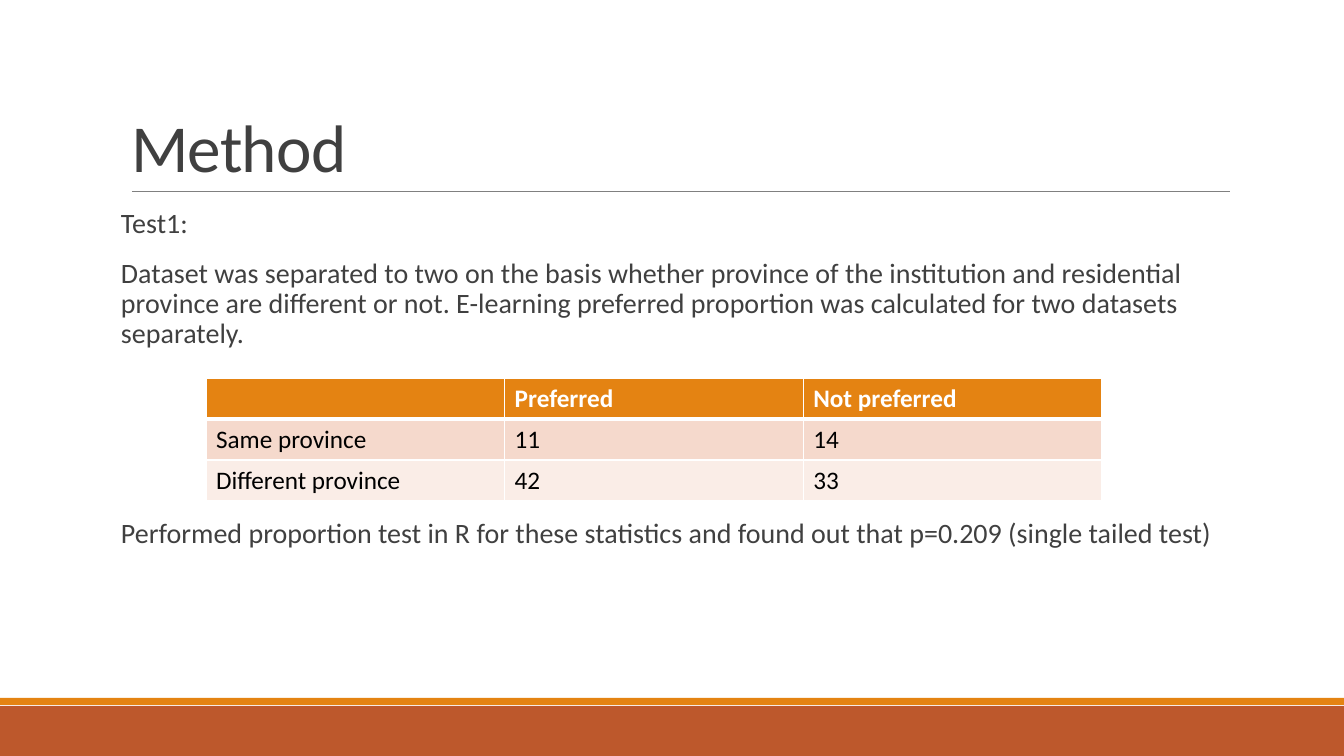
from lxml import etree
from pptx import Presentation
from pptx.dml.color import RGBColor
from pptx.enum.shapes import MSO_CONNECTOR, MSO_SHAPE
from pptx.enum.text import MSO_ANCHOR, MSO_AUTO_SIZE, PP_ALIGN
from pptx.oxml.ns import qn
from pptx.util import Pt

PX = 914400 / 100.8
RECTANGLE = MSO_SHAPE.RECTANGLE
STRAIGHT = MSO_CONNECTOR.STRAIGHT
LEFT = PP_ALIGN.LEFT
TOP, BOTTOM = MSO_ANCHOR.TOP, MSO_ANCHOR.BOTTOM
NO_AUTOFIT = MSO_AUTO_SIZE.NONE


def px(*lengths):
    return [round(length * PX) for length in lengths]


def paint(color_format, color):
    color_format.rgb = RGBColor.from_string(color)


presentation = Presentation()
presentation.slide_width, presentation.slide_height = px(1344, 756)
slide = presentation.slides.add_slide(presentation.slide_layouts[1])

for top, height, color in [(706, 50, "BD582C"), (698, 7, "E48312")]:
    bar = slide.shapes.add_shape(RECTANGLE, *px(0, top, 1344, height))
    bar.shadow.inherit = False
    bar.fill.solid()
    paint(bar.fill.fore_color, color)
    bar.line.fill.background()

title_rule = slide.shapes.add_connector(STRAIGHT, *px(132, 191, 1230, 191))
title_rule.line.width = Pt(0.5)
paint(title_rule.line.color, "808080")
etree.SubElement(title_rule._element.spPr, qn("a:effectLst"))

title = slide.shapes.title
body = slide.placeholders[1]
for placeholder, top, height, anchor in [(title, 31, 160, BOTTOM), (body, 204, 444, TOP)]:
    placeholder.left, placeholder.top, placeholder.width, placeholder.height = px(121, top, 1109, height)
    placeholder.text_frame.auto_size = NO_AUTOFIT
    placeholder.text_frame.word_wrap = True
    placeholder.text_frame.vertical_anchor = anchor

title.text_frame.text = "Method"
heading = title.text_frame.paragraphs[0]
heading.alignment = LEFT
heading.line_spacing = 0.85
heading.font.size = Pt(48)
heading.font.name = "Calibri"
paint(heading.font.color, "404040")
heading.runs[0].font._element.set("spc", "-50")

body.text_frame.margin_left = body.text_frame.margin_right = 0
body_paragraphs = [
    ("Test1:", 12),
    ("Dataset was separated to two on the basis whether province of the institution and "
     "residential province are different or not. E-learning preferred proportion was "
     "calculated for two datasets separately.", 12),
    ("Performed proportion test in R for these statistics and found out that p=0.209 "
     "(single tailed test)", 119),
]
body.text_frame.text = "\n".join(text for text, space_before in body_paragraphs)
for paragraph, (text, space_before) in zip(body.text_frame.paragraphs, body_paragraphs):
    paragraph.alignment = LEFT
    paragraph.line_spacing = 0.9
    paragraph.space_before = Pt(space_before)
    paragraph.space_after = Pt(2)
    properties = paragraph._p.get_or_add_pPr()
    properties.set("marL", "0")
    properties.set("indent", "0")
    etree.SubElement(properties, qn("a:buNone"))
    paragraph.font.size = Pt(20)
    paragraph.font.name = "Calibri"
    paint(paragraph.font.color, "404040")

table_rows = [
    ("E48312", "FFFFFF", ["", "Preferred", "Not preferred"]),
    ("F5D9CC", "000000", ["Same province", "11", "14"]),
    ("FAEDE7", "000000", ["Different province", "42", "33"]),
]
table = slide.shapes.add_table(3, 3, *px(206, 378, 896, 123)).table
for row_index, (fill, text_color, texts) in enumerate(table_rows):
    is_header = row_index == 0
    border_widths = {"L": 1, "R": 1, "T": 3 if row_index == 1 else 1, "B": 3 if is_header else 1}
    for column_index, text in enumerate(texts):
        cell = table.cell(row_index, column_index)
        cell.text = text
        paragraph = cell.text_frame.paragraphs[0]
        paragraph.font.size = Pt(18)
        paragraph.font.name = "Calibri"
        paragraph.font.bold = is_header
        paint(paragraph.font.color, text_color)
        cell_properties = cell._tc.get_or_add_tcPr()
        for side, width in border_widths.items():
            border = etree.SubElement(cell_properties, qn(f"a:ln{side}"), w=str(Pt(width)))
            border_fill = etree.SubElement(border, qn("a:solidFill"))
            etree.SubElement(border_fill, qn("a:srgbClr"), val="FFFFFF")
        cell.fill.solid()
        paint(cell.fill.fore_color, fill)

presentation.save("out.pptx")
